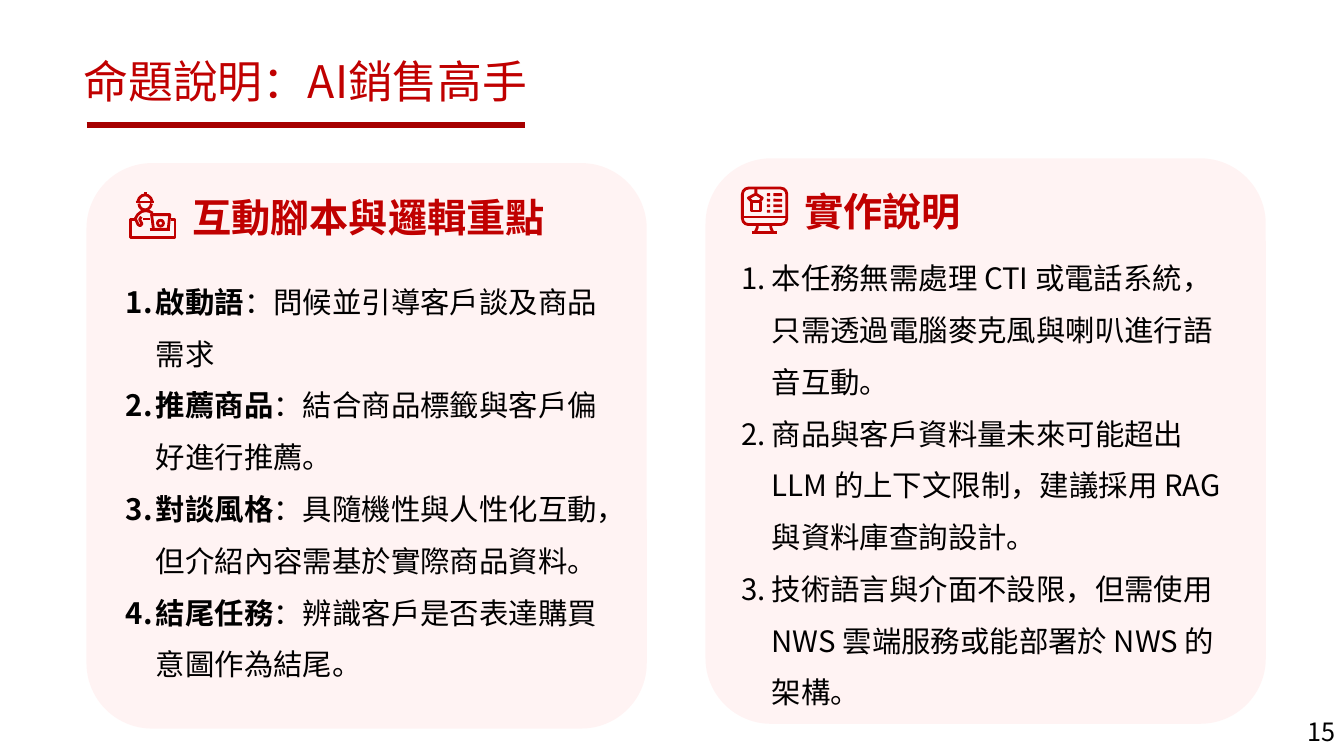
from lxml import etree
from pptx import Presentation
from pptx import util as u
from pptx.dml.color import RGBColor
from pptx.enum import shapes, text
from pptx.oxml import ns

RED = RGBColor(0xC0, 0x00, 0x00)
DARK_RED = RGBColor(0xA6, 0x00, 0x00)
PINK = RGBColor(0xFF, 0xF3, 0xF3)
BLACK = RGBColor(0, 0, 0)
WHITE = RGBColor(0xFF, 0xFF, 0xFF)
FONT = "Noto Sans CJK SC"
CARD_WIDTH, CARD_HEIGHT = 14.12, 14.25
ICON_LINE = u.Pt(2)
HUNDREDTH = u.Cm(0.01)


def write(paragraphs, left, top, width, height, size, color=BLACK, inset=0.33,
          anchor=text.MSO_ANCHOR.MIDDLE, align=text.PP_ALIGN.LEFT, numbered=False):
    """Add a text box; each paragraph is a list of (text, bold) pairs."""
    box = page.shapes.add_textbox(u.Cm(left), u.Cm(top), u.Cm(width), u.Cm(height))
    frame = box.text_frame
    frame.word_wrap = True
    frame.vertical_anchor = anchor
    frame.margin_left = frame.margin_right = u.Cm(inset)
    frame.margin_top = frame.margin_bottom = u.Cm(min(inset, 0.33))
    for index, spans in enumerate(paragraphs):
        para = frame.add_paragraph() if index else frame.paragraphs[0]
        para.alignment = align
        if numbered:
            para.line_spacing = u.Pt(37)
            properties = para._p.get_or_add_pPr()
            properties.set("marL", str(u.Cm(0.76)))
            properties.set("indent", str(u.Cm(-0.76)))
            number = etree.SubElement(properties, ns.qn("a:buAutoNum"))
            number.set("type", "arabicPeriod")
        for words, bold in spans:
            span = para.add_run()
            span.text = words
            span.font.name = FONT
            span.font.size = u.Pt(size)
            span.font.bold = bold
            span.font.color.rgb = color
            east_asian = etree.SubElement(span._r.get_or_add_rPr(), ns.qn("a:ea"))
            east_asian.set("typeface", FONT)
    return box


def draw_icon(left, top, strokes, rounded):
    """Draw strokes and (kind, x, y, width, height, filled) shapes, in 0.01 cm."""
    builder = page.shapes.build_freeform(*strokes[0][0], scale=HUNDREDTH)
    for index, points in enumerate(strokes):
        if index:
            builder.move_to(*points[0])
        builder.add_line_segments(points[1:], close=False)
    parts = [(builder.convert_to_shape(u.Cm(left), u.Cm(top)), False)]
    for kind, x, y, width, height, filled in rounded:
        part = page.shapes.add_shape(
            kind, u.Cm(left + x / 100), u.Cm(top + y / 100),
            u.Cm(width / 100), u.Cm(height / 100))
        parts.append((part, filled))
    for part, filled in parts:
        part.shadow.inherit = False
        if filled:
            part.fill.solid()
            part.fill.fore_color.rgb = RED
            part.line.fill.background()
        else:
            part.fill.background()
            part.line.color.rgb = RED
            part.line.width = ICON_LINE


deck = Presentation()
deck.slide_width, deck.slide_height = u.Cm(33.87), u.Cm(19.05)
page = deck.slides.add_slide(deck.slide_layouts[6])

# Title and its rule
write([[("命題說明：AI銷售高手", False)]], 0.64, 1.22, 14.12, 1.63, 32, RED, inset=0.13,
      anchor=text.MSO_ANCHOR.TOP, align=text.PP_ALIGN.CENTER)
rule = page.shapes.add_connector(
    shapes.MSO_CONNECTOR.STRAIGHT, u.Cm(2.18), u.Cm(3.15), u.Cm(13.23), u.Cm(3.15))
rule.line.color.rgb = DARK_RED
rule.line.width = u.Pt(4.5)
etree.SubElement(rule._element.spPr, ns.qn("a:effectLst"))

# Cards: position, heading and its place, numbered points and their place
script_points = [
    [("啟動語", True), ("：問候並引導客戶談及商品需求", False)],
    [("推薦商品", True), ("：結合商品標籤與客戶偏好進行推薦。", False)],
    [("對談風格", True), ("：具隨機性與人性化互動，但介紹內容需基於實際商品資料。", False)],
    [("結尾任務", True), ("：辨識客戶是否表達購買意圖作為結尾。", False)],
]
build_points = [
    [("本任務無需處理 CTI 或電話系統，只需透過電腦麥克風與喇叭進行語音互動。", False)],
    [("商品與客戶資料量未來可能超出 LLM 的上下文限制，建議採用 RAG 與資料庫查詢設計。", False)],
    [("技術語言與介面不設限，但需使用 NWS 雲端服務或能部署於 NWS 的架構。", False)],
]
cards = [
    ((2.18, 4.11), "互動腳本與邏輯重點", (4.52, 4.7), script_points, (2.84, 5.89, 12.95, 12.14)),
    ((17.78, 3.99), "實作說明", (19.94, 4.55), build_points, (18.36, 6.15, 12.95, 11.73)),
]
for (left, top), heading, heading_place, points, points_place in cards:
    card = page.shapes.add_shape(
        shapes.MSO_SHAPE.ROUNDED_RECTANGLE, u.Cm(left), u.Cm(top),
        u.Cm(CARD_WIDTH), u.Cm(CARD_HEIGHT))
    card.adjustments[0] = 0.117
    card.shadow.inherit = False
    card.fill.solid()
    card.fill.fore_color.rgb = PINK
    card.line.fill.background()
    write([[(heading, True)]], *heading_place, 11.07, 1.55, 28, RED)
    write(points, *points_place, 21, numbered=True)

# Agent at a laptop
agent_strokes = [
    [(15, 70), (4, 70), (4, 116), (116, 116), (116, 70), (107, 70)],  # desk
    [(57, 58), (103, 58), (99, 95), (62, 95), (57, 58)],  # laptop
    [(52, 95), (104, 95)],
    [(22, 26), (26, 16), (33, 10), (41, 8), (48, 10), (55, 16), (59, 26)],  # cap
    [(17, 26), (64, 26)],
    [(41, 2), (41, 11)],
    [(25, 30), (27, 38), (33, 44), (41, 46), (48, 44), (54, 38), (57, 30)],  # face
    [(60, 54), (52, 50), (43, 48), (32, 50), (22, 58), (16, 68), (23, 83),
     (28, 86), (33, 81), (27, 70), (31, 63)],  # shoulder and arm
    [(35, 69), (54, 69)],
]
draw_icon(3.25, 4.83, agent_strokes, [(shapes.MSO_SHAPE.OVAL, 72, 72, 15, 15, False)])

# Monitor showing a parcel and a list
monitor_strokes = [
    [(4, 77), (116, 77)],
    [(42, 96), (41, 105), (36, 116)],  # stand
    [(75, 96), (76, 105), (81, 116)],
    [(28, 116), (90, 116)],
    [(38, 4), (38, 19), (54, 29), (48, 38), (28, 38), (19, 29), (38, 19)],  # parcel
    [(27, 38), (27, 62), (50, 62), (50, 38)],
]
pill = shapes.MSO_SHAPE.ROUNDED_RECTANGLE
monitor_parts = [(pill, 4, 4, 112, 92, False)]
for row in range(4):
    for x, width in ((66, 8), (82, 22)):
        monitor_parts.append((pill, x, 17 + 14 * row, width, 7, True))
draw_icon(18.67, 4.7, monitor_strokes, monitor_parts)

# Page number
number_box = write([[("15", False)]], 32.87, 18.06, 0.89, 0.76, 18, inset=0,
                   anchor=text.MSO_ANCHOR.TOP, align=text.PP_ALIGN.CENTER)
number_box.fill.solid()
number_box.fill.fore_color.rgb = WHITE

deck.save("out.pptx")
